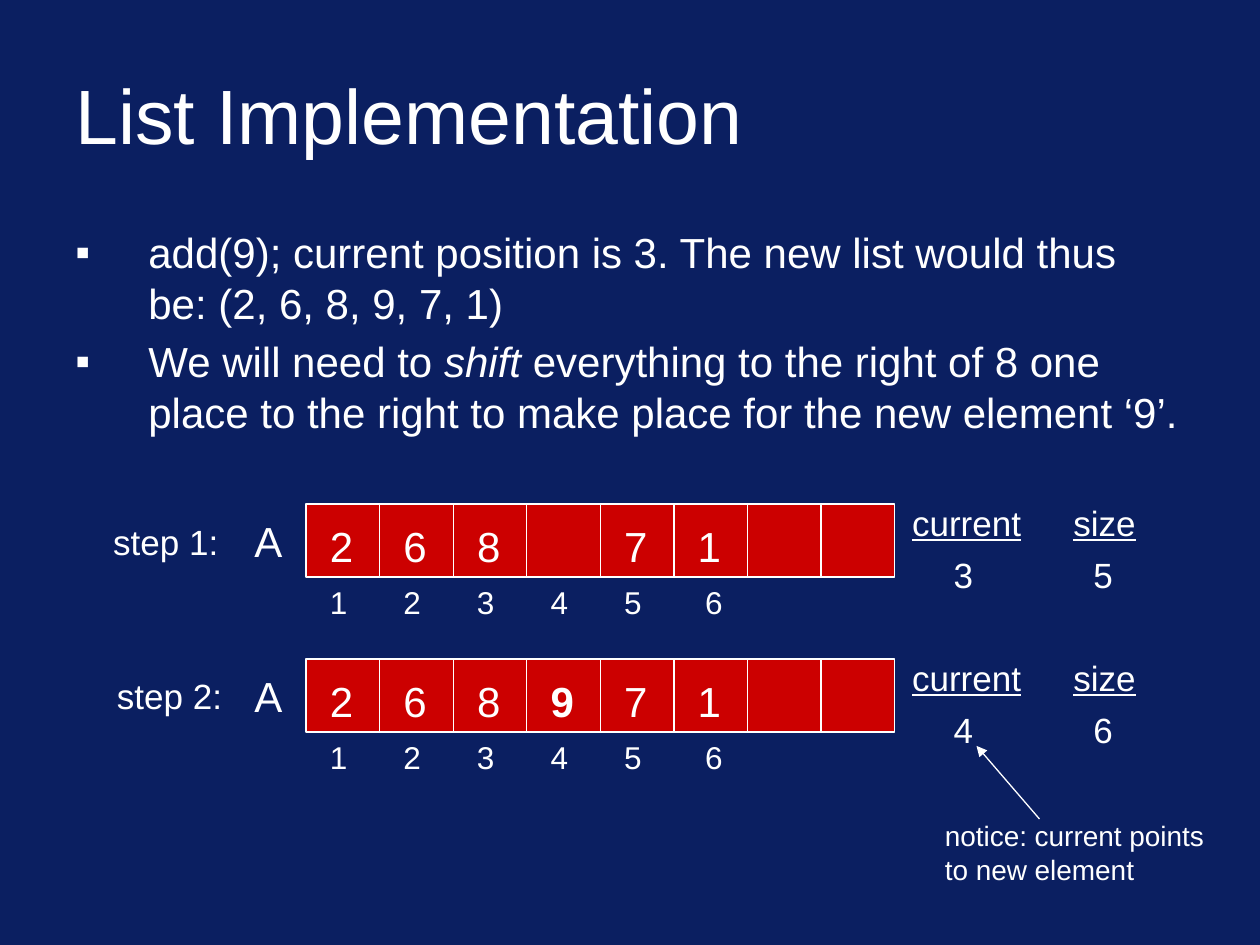
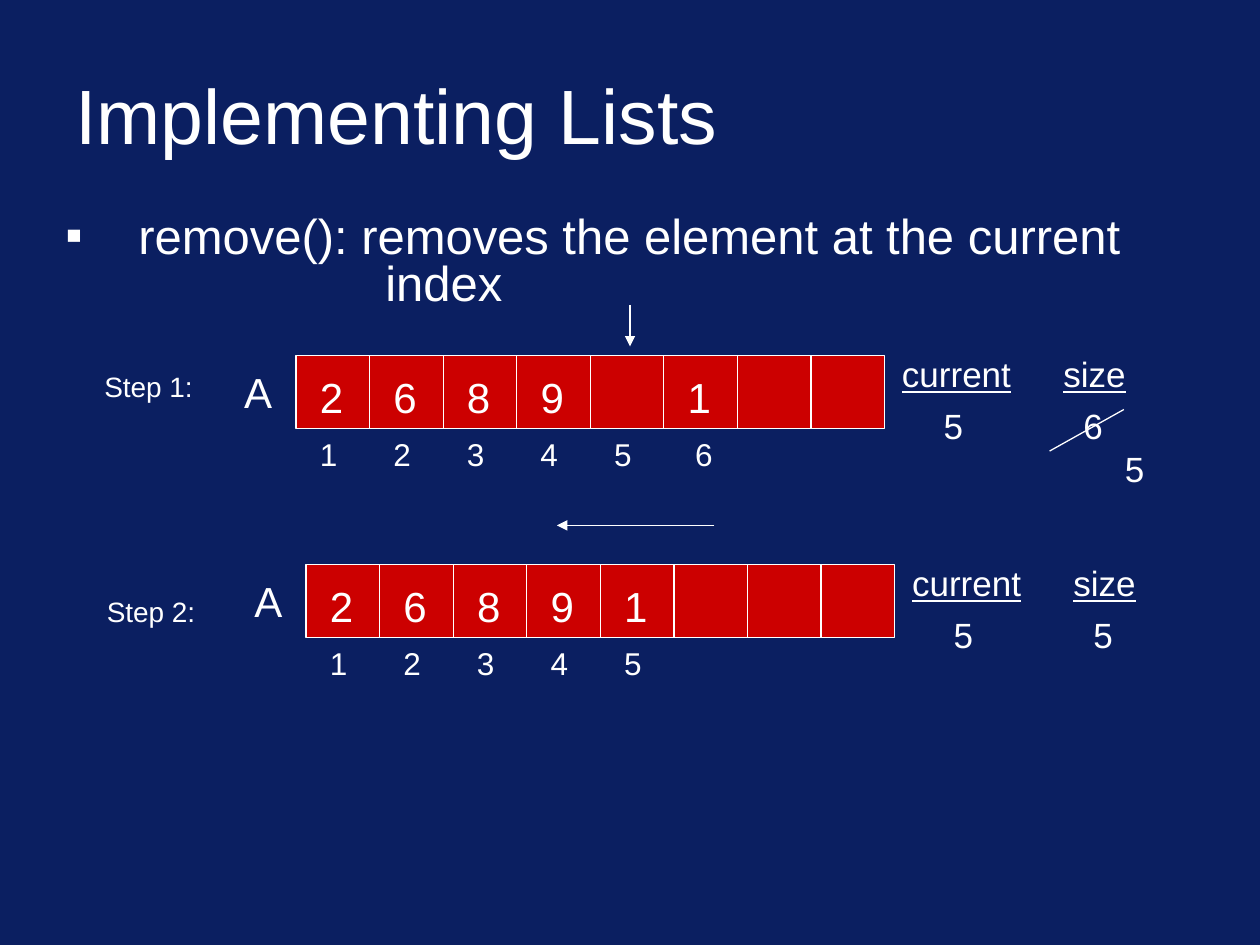
from lxml import etree
from pptx import Presentation
from pptx.dml.color import RGBColor
from pptx.enum.shapes import MSO_CONNECTOR, MSO_SHAPE
from pptx.enum.text import MSO_ANCHOR, MSO_AUTO_SIZE
from pptx.oxml.ns import qn
from pptx.util import Inches, Pt

RECTANGLE = MSO_SHAPE.RECTANGLE
STRAIGHT = MSO_CONNECTOR.STRAIGHT
MIDDLE = MSO_ANCHOR.MIDDLE
GROW = MSO_AUTO_SIZE.SHAPE_TO_FIT_TEXT

NAVY, RED, WHITE = "0B1F61", "CC0000", "FFFFFF"
FONT = "Arial"
CELL_COUNT = 8
ARRAY_WIDTH, ARRAY_HEIGHT = 4.67, 0.58
CELL_WIDTH = ARRAY_WIDTH / CELL_COUNT
BULLET_INDENT = 0.58


def color(code):
    return RGBColor.from_string(code)


class ListDeck:
    """Holds the shared style, the current slide and the group being filled."""

    def __init__(self):
        self.deck = Presentation()
        self.deck.slide_width, self.deck.slide_height = Inches(10), Inches(7.5)

    def new_page(self, title):
        self.page = self.deck.slides.add_slide(self.deck.slide_layouts[6])
        background = self.page.background.fill
        background.solid()
        background.fore_color.rgb = color(NAVY)
        self.shapes = self.page.shapes
        frame = self.text_frame(0.5, 0.4, 9, 1)
        frame.word_wrap = True
        frame.vertical_anchor = MIDDLE
        self.span(frame.paragraphs[0], title, 44)

    def text_frame(self, left, top, width, height):
        box = self.shapes.add_textbox(*map(Inches, (left, top, width, height)))
        return box.text_frame

    def span(self, para, text, size, **formats):
        span = para.add_run()
        span.text = text
        for key, value in {"name": FONT, "size": Pt(size), **formats}.items():
            setattr(span.font, key, value)
        span.font.color.rgb = color(WHITE)

    def label(self, left, top, width, lines, size, **formats):
        """Short text, one paragraph a line, in a box wide enough for it."""
        frame = self.text_frame(left, top, width, 0.1 + len(lines) * size / 60)
        frame.word_wrap = False
        frame.auto_size = GROW
        for number, line in enumerate(lines):
            para = frame.add_paragraph() if number else frame.paragraphs[0]
            self.span(para, line, size, **formats)

    def body(self, left, top, height, items, size, spacing=None):
        """Items are (left indent, bulleted, [(text, formats), ...])."""
        frame = self.text_frame(left, top, 9, height)
        frame.word_wrap = True
        for number, (indent, bulleted, pieces) in enumerate(items):
            para = frame.add_paragraph() if number else frame.paragraphs[0]
            para.line_spacing = spacing
            para.space_before = Pt(size * 0.2 if bulleted else 0)
            for text, formats in pieces:
                self.span(para, text, size, **formats)
            props = para._p.get_or_add_pPr()
            props.set("marL", str(Inches(indent)))
            if bulleted:
                props.set("indent", str(-Inches(indent)))
                etree.SubElement(props, qn("a:buFont"), typeface=FONT)
                etree.SubElement(props, qn("a:buChar"), char="▪")

    def line(self, start, end, arrow=False):
        connector = self.shapes.add_connector(STRAIGHT, *map(Inches, start + end))
        connector.line.width = Pt(0.75)
        connector.line.color.rgb = color(WHITE)
        if arrow:
            outline = connector.line._get_or_add_ln()
            etree.SubElement(outline, qn("a:tailEnd"), type="triangle")
        etree.SubElement(connector._element.spPr, qn("a:effectLst"))

    def counter(self, left, top, name, width, value, value_left):
        """Underlined variable name above its value."""
        self.label(left, top, width, [name], 20, underline=True)
        self.label(value_left, top + 0.41, 0.36, [value], 20)

    def array(self, left, top, cells, index_count, current, size, bold_cell=None):
        """Array state; everything added later on the page joins its group."""
        self.shapes = self.page.shapes.add_group_shape().shapes
        row = self.shapes.add_shape(
            RECTANGLE, *map(Inches, (left, top, ARRAY_WIDTH, ARRAY_HEIGHT)))
        row.shadow.inherit = False
        row.fill.solid()
        row.fill.fore_color.rgb = color(RED)
        row.line.color.rgb = color(WHITE)
        row.line.width = Pt(0.75)
        for number in range(1, CELL_COUNT):
            x = left + number * CELL_WIDTH
            self.line((x, top), (x, top + ARRAY_HEIGHT))

        # Array name, cell values and the indexes below
        self.label(left - 0.51, top + 0.04, 0.44, ["A"], 24)
        for number, value in enumerate(cells):
            if value != " ":
                self.label(left + 0.09 + number * CELL_WIDTH, top + 0.08, 0.39,
                           [value], 24, bold=number == bold_cell)
        for number in range(index_count):
            nudge = 0.06 if number == 5 else 0
            self.label(left + 0.09 + number * CELL_WIDTH + nudge,
                       top + ARRAY_HEIGHT, 0.34, [str(number + 1)], 18)

        # State variables
        self.counter(left + 4.71, top - 0.07, "current", 1.15, current, left + 5.04)
        self.counter(left + 5.99, top - 0.07, "size", 0.75, size, left + 6.15)


def main():
    show = ListDeck()

    # Adding an element
    show.new_page("List Implementation")
    show.body(0.5, 1.75, 2, [
        (BULLET_INDENT, True, [
            ("add(9); current position is 3. The new list would thus be: "
             "(2, 6, 8, 9, 7, 1)", {})]),
        (BULLET_INDENT, True, [
            ("We will need to ", {}),
            ("shift", {"italic": True}),
            (" everything to the right of 8 one place to the right to make "
             "place for the new element ‘9’.", {})]),
    ], 24)
    show.array(2.43, 4, "268 71", 6, "3", "5")
    show.label(0.8, 4.08, 1.12, ["step 1:"], 20)
    show.array(2.43, 5.23, "268971", 6, "4", "6", bold_cell=3)
    show.label(0.83, 5.3, 1.12, ["step 2:"], 20)
    show.label(7.4, 6.45, 2.35, ["notice: current points", "to new element"], 16)
    show.line((8.25, 6.5), (7.75, 5.92), arrow=True)

    # Removing an element
    show.new_page("Implementing Lists")
    show.body(0.42, 1.67, 1.09, [
        (BULLET_INDENT, True, [("remove(): removes the element at the current", {})]),
        (2.54, False, [("index", {})]),
    ], 28, spacing=0.8)
    show.array(2.35, 2.82, "2689 1", 6, "5", "6")
    show.label(8.83, 3.5, 0.36, ["5"], 20)
    show.line((8.33, 3.58), (8.92, 3.25))
    show.label(0.73, 2.88, 1, ["Step 1:"], 16)
    show.line((5, 2.42), (5, 2.75), arrow=True)
    show.array(2.43, 4.48, "26891", 5, "5", "5")
    show.label(0.75, 4.67, 1, ["Step 2:"], 16)
    show.line((5.67, 4.17), (4.42, 4.17), arrow=True)

    show.deck.save("out.pptx")


if __name__ == "__main__":
    main()
